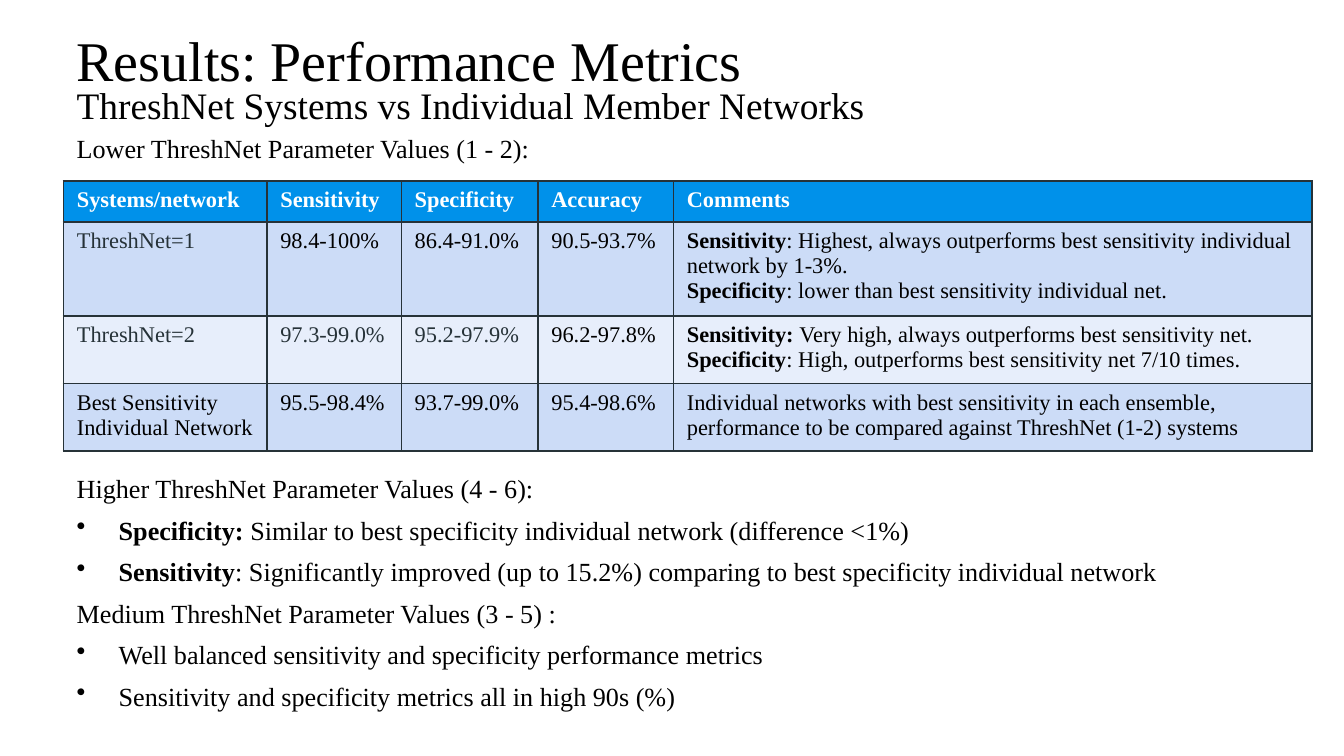
import dataclasses

import pptx
import pptx.dml.color
import pptx.enum.text
import pptx.oxml
import pptx.oxml.ns
import pptx.util

Pt = pptx.util.Pt
RGB = pptx.dml.color.RGBColor.from_string
NS = pptx.oxml.ns.nsdecls("a")


@dataclasses.dataclass
class Theme:
    font: str = "Times New Roman"
    black: str = "000000"
    white: str = "FFFFFF"
    slate: str = "263238"
    header: str = "0091EA"
    bands: tuple = ("CCDCF7", "E7EEFB")
    title: int = 30
    subtitle: int = 20
    body: int = 14
    cell: int = 12


theme = Theme()


def add_runs(p, text, size, color):
    for i, part in enumerate(text.split("**")):
        if part:
            r = p.add_run()
            r.text = part
            r.font.name = theme.font
            r.font.size = Pt(size)
            r.font.bold = i % 2 == 1
            r.font.color.rgb = RGB(color)


def add_text(s, top, width, height, inset, size, lines, wrap=True):
    sp = s.shapes.add_textbox(Pt(left), Pt(top), Pt(width), Pt(height))
    tf = sp.text_frame
    tf.word_wrap = wrap
    tf.auto_size = pptx.enum.text.MSO_AUTO_SIZE.SHAPE_TO_FIT_TEXT
    tf.margin_top = Pt(inset)
    for i, line in enumerate(lines):
        p = tf.paragraphs[0] if i == 0 else tf.add_paragraph()
        if line.startswith("• "):
            line = line[2:]
            pPr = p._p.get_or_add_pPr()
            pPr.set("marL", str(Pt(22.5)))
            pPr.set("indent", str(Pt(-22.5)))
            pPr.append(pptx.oxml.parse_xml(
                f'<a:buClr {NS}><a:srgbClr val="{theme.black}"/></a:buClr>'))
            pPr.append(pptx.oxml.parse_xml(f'<a:buChar {NS} char="•"/>'))
        if i:
            p.space_before = Pt(5.4)
        add_runs(p, line, size, theme.black)


prs = pptx.Presentation()
prs.slide_width, prs.slide_height = Pt(720), Pt(405)
s = prs.slides.add_slide(prs.slide_layouts[6])
left = 34

add_text(s, 6.5, 375, 44, 7, theme.title, ["Results: Performance Metrics"], wrap=False)

rows = [
    ["**Systems/network**", "**Sensitivity**", "**Specificity**", "**Accuracy**", "**Comments**"],
    ["ThreshNet=1", "98.4-100%", "86.4-91.0%", "90.5-93.7%",
     "**Sensitivity**: Highest, always outperforms best sensitivity individual network by 1-3%.\n"
     "**Specificity**: lower than best sensitivity individual net."],
    ["ThreshNet=2", "97.3-99.0%", "95.2-97.9%", "96.2-97.8%",
     "**Sensitivity: **Very high, always outperforms best sensitivity net. "
     "**Specificity**: High, outperforms best sensitivity net 7/10 times."],
    ["Best Sensitivity Individual Network", "95.5-98.4%", "93.7-99.0%", "95.4-98.6%",
     "Individual networks with best sensitivity in each ensemble, "
     "performance to be compared against ThreshNet (1-2) systems"],
]
widths = [109, 72, 73.2, 72.6, 342]
heights = [22, 50.4, 36, 36]
slate_cells = {(1, 0), (2, 0), (2, 1), (2, 2)}

table = s.shapes.add_table(len(rows), len(widths), Pt(left), Pt(97),
                           Pt(sum(widths)), Pt(sum(heights))).table
for column, width in zip(table.columns, widths):
    column.width = Pt(width)
for i, (row, height) in enumerate(zip(rows, heights)):
    table.rows[i].height = Pt(height)
    for j, text in enumerate(row):
        cell = table.cell(i, j)
        tcPr = cell._tc.get_or_add_tcPr()
        for side in ("lnL", "lnR", "lnT", "lnB"):
            tcPr.append(pptx.oxml.parse_xml(
                f'<a:{side} {NS} w="{Pt(1)}"><a:solidFill>'
                f'<a:srgbClr val="{theme.slate}"/></a:solidFill></a:{side}>'))
        cell.fill.solid()
        cell.fill.fore_color.rgb = RGB(theme.header if i == 0 else theme.bands[(i - 1) % 2])
        color = theme.white if i == 0 else theme.slate if (i, j) in slate_cells else theme.black
        tf = cell.text_frame
        for k, line in enumerate(text.split("\n")):
            p = tf.paragraphs[0] if k == 0 else tf.add_paragraph()
            add_runs(p, line, theme.cell, color)

add_text(s, 247.7, 611, 146, 5.5, theme.body, [
    "Higher ThreshNet Parameter Values (4 - 6):",
    "• **Specificity: **Similar to best specificity individual network (difference <1%)",
    "• **Sensitivity**: Significantly improved (up to 15.2%) comparing to best specificity individual network",
    "Medium ThreshNet Parameter Values (3 - 5) :",
    "• Well balanced sensitivity and specificity performance metrics",
    "• Sensitivity and specificity metrics all in high 90s (%)",
])
add_text(s, 66.2, 589, 24.5, 5, theme.body, ["Lower ThreshNet Parameter Values (1 - 2):"])
add_text(s, 39, 635, 31.7, 5, theme.subtitle, ["ThreshNet Systems vs Individual Member Networks"])

prs.save("out.pptx")
